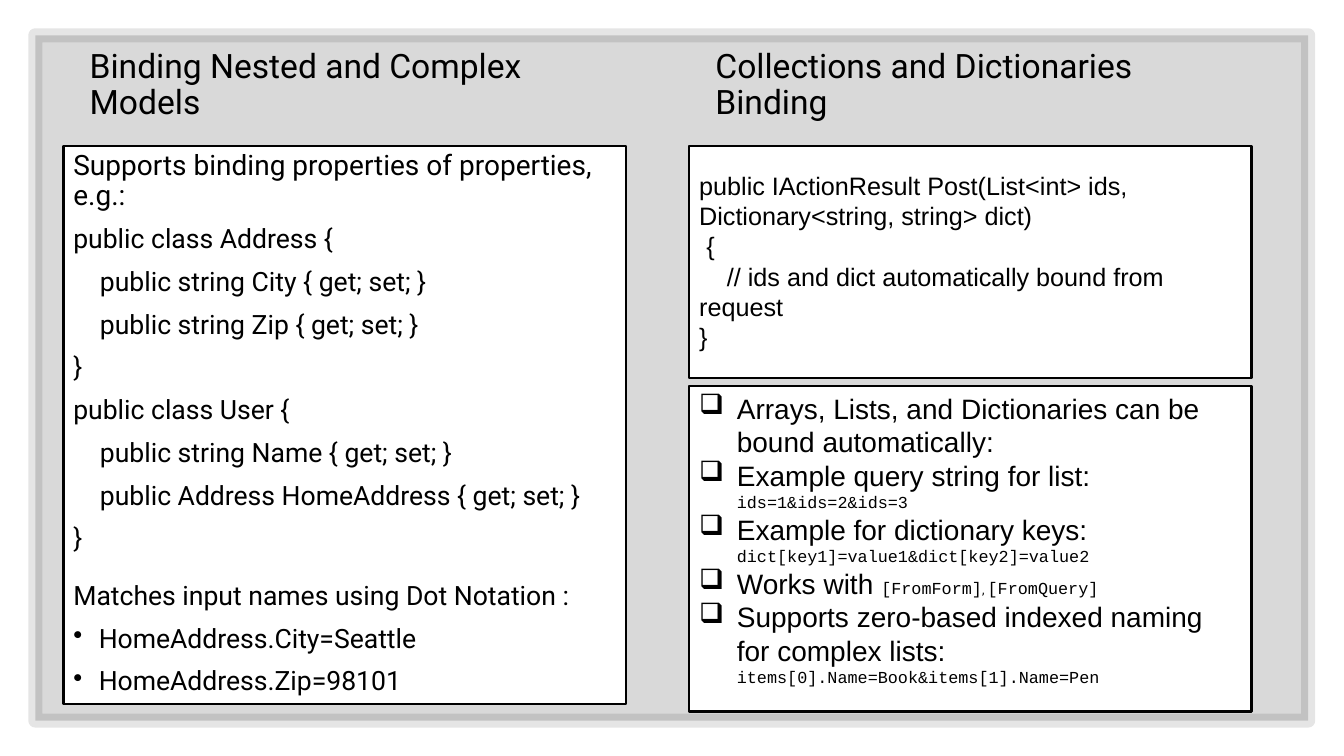
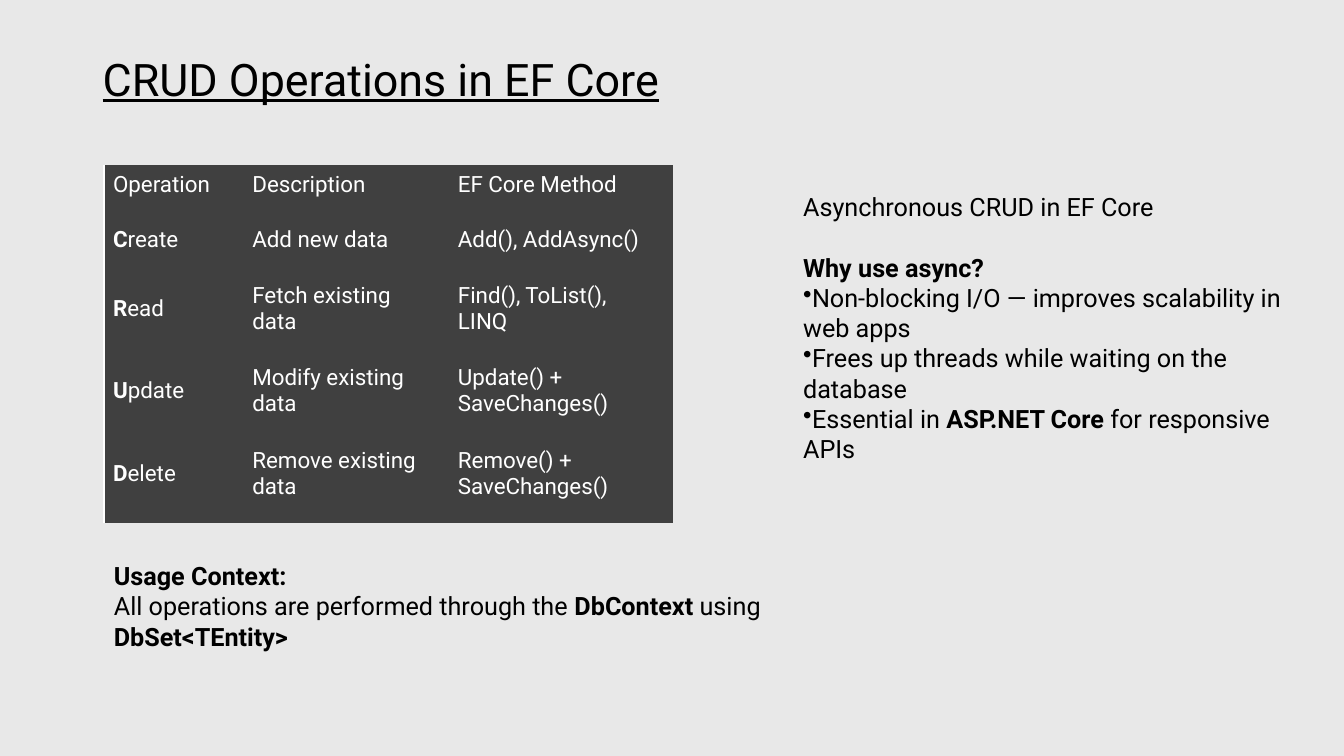
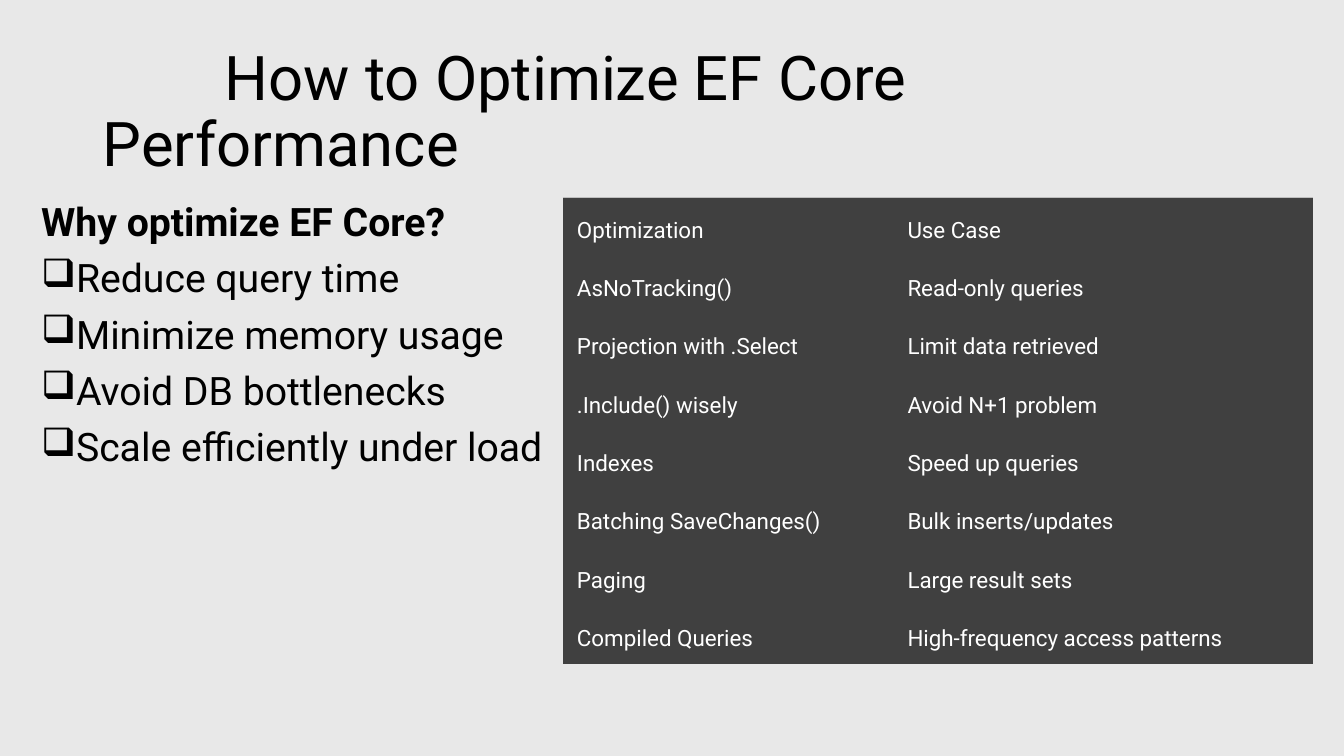
import dataclasses

import pptx
import pptx.dml.color
import pptx.enum.shapes
import pptx.enum.text
import pptx.oxml
import pptx.oxml.ns
import pptx.util

Cm = pptx.util.Cm
Pt = pptx.util.Pt
qn = pptx.oxml.ns.qn
ANCHOR = pptx.enum.text.MSO_ANCHOR

COLORS = {
    "ink": "000000",
    "paper": "FFFFFF",
    "mist": "E8E8E8",
    "table": "404040",
    "rule": "BFBFBF",
}
SANS, PLAIN, MONO = "Roboto", "Arial", "Courier New"
NO_GRID_STYLE = "{2D5ABB26-0587-4C30-8999-92F81FD0307C}"
SPAN_STYLES = {
    "bold": {"bold": True},
    "code": {"font": MONO, "size": 12},
    "separator": {"font": SANS, "size": 9},
}
BREAK = "\n"


@dataclasses.dataclass
class Style:
    size: float
    font: str = SANS
    color: str = "ink"
    spacing: float = 1.0
    before: float = 0
    bold: bool = False
    underline: bool = False


@dataclasses.dataclass
class Line:
    spans: object
    size: float = None
    before: float = None
    left: float = 0
    first: float = 0
    bullet: str = None


def rgb(name):
    return pptx.dml.color.RGBColor.from_string(COLORS[name])


def bulleted(texts, bullet, hang=0):
    return [Line(text, left=hang, first=-hang, bullet=bullet) for text in texts]


def write_span(paragraph, text, style):
    if text == BREAK:
        paragraph.add_line_break()
        return
    run = paragraph.add_run()
    run.text = text
    run.font.name = style.font
    run.font.size = Pt(style.size)
    run.font.bold = style.bold
    run.font.underline = style.underline
    run.font.color.rgb = rgb(style.color)


def write_lines(frame, lines, style):
    frame.word_wrap = True
    for index, line in enumerate(lines):
        if not isinstance(line, Line):
            line = Line(line)
        paragraph = frame.add_paragraph() if index else frame.paragraphs[0]
        paragraph.alignment = pptx.enum.text.PP_ALIGN.LEFT
        paragraph.line_spacing = style.spacing
        paragraph.space_before = Pt(style.before if line.before is None else line.before)
        properties = paragraph._p.get_or_add_pPr()
        properties.set("marL", str(Cm(line.left)))
        properties.set("indent", str(Cm(line.first)))
        if line.bullet:
            mark = pptx.oxml.parse_xml(
                f'<a:buChar {pptx.oxml.ns.nsdecls("a")} char="{line.bullet}"/>')
            properties.append(mark)
        base = dataclasses.replace(style, size=line.size or style.size)
        spans = [line.spans] if isinstance(line.spans, str) else line.spans
        for span in spans:
            text, kind = (span, None) if isinstance(span, str) else span
            write_span(paragraph, text, dataclasses.replace(base, **SPAN_STYLES.get(kind, {})))


def add_text(slide, box, lines, style, anchor=ANCHOR.TOP):
    frame = slide.shapes.add_textbox(*map(Cm, box)).text_frame
    frame.vertical_anchor = anchor
    write_lines(frame, lines, style)


def add_title(slide, box, title, size, underline=False):
    style = Style(size, spacing=0.9, underline=underline)
    add_text(slide, box, [title], style, ANCHOR.MIDDLE)


def add_rectangle(slide, box, fill, line_width):
    rectangle = slide.shapes.add_shape(
        pptx.enum.shapes.MSO_SHAPE.RECTANGLE, *map(Cm, box))
    rectangle.shadow.inherit = False
    rectangle.fill.solid()
    rectangle.fill.fore_color.rgb = rgb(fill)
    rectangle.line.color.rgb = rgb("ink")
    rectangle.line.width = Pt(line_width)
    return rectangle


def add_backdrop(slide, box):
    backdrop = add_rectangle(slide, box, "ink", 10)
    colors = backdrop.element.spPr.iter(qn("a:srgbClr"))
    for color, opacity in zip(list(colors), (15, 10)):
        color.append(pptx.oxml.parse_xml(
            f'<a:alpha {pptx.oxml.ns.nsdecls("a")} val="{opacity * 1000}"/>'))


def add_topic_column(slide, left, title, panels):
    add_title(slide, (left + 0.41, 1.63, 13.34, 1.07), title, 24)
    for top, height, inset, lines, style in panels:
        panel = add_rectangle(slide, (left, top, 14.17, height), "paper", 1.5)
        panel.text_frame.vertical_anchor = ANCHOR.TOP
        panel.text_frame.margin_top = Cm(inset)
        write_lines(panel.text_frame, lines, style)


def add_border(cell, side, color):
    cell._tc.get_or_add_tcPr().insert(0, pptx.oxml.parse_xml(
        f'<a:{side} {pptx.oxml.ns.nsdecls("a")} w="{Pt(1)}"><a:solidFill>'
        f'<a:srgbClr val="{COLORS[color]}"/></a:solidFill></a:{side}>'))


def add_dark_table(slide, left, top, widths, heights, rows, margins, has_border, side, color):
    holder = slide.shapes.add_table(
        len(rows), len(widths), Cm(left), Cm(top), Cm(sum(widths)), Cm(sum(heights)))
    holder.element.find(".//" + qn("a:tableStyleId")).text = NO_GRID_STYLE
    table = holder.table
    table.first_row = table.horz_banding = False
    for column, width in zip(table.columns, widths):
        column.width = Cm(width)
    for r, (height, row) in enumerate(zip(heights, rows)):
        table.rows[r].height = Cm(height)
        for c, content in enumerate(row):
            cell = table.cell(r, c)
            cell.fill.solid()
            cell.fill.fore_color.rgb = rgb("table")
            cell.vertical_anchor = ANCHOR.MIDDLE
            cell.margin_left, cell.margin_top, cell.margin_right, cell.margin_bottom = map(
                Cm, margins)
            write_lines(cell.text_frame, [content], Style(16, color="paper"))
            if has_border(r, c):
                add_border(cell, side, color)


def new_slide(deck, background):
    slide = deck.slides.add_slide(deck.slide_layouts[6])
    slide.background.fill.solid()
    slide.background.fill.fore_color.rgb = rgb(background)
    return slide


def build_binding(deck):
    slide = new_slide(deck, "paper")
    add_backdrop(slide, (0.89, 0.89, 32.08, 17.27))
    nested = [
        Line("Supports binding properties of properties, e.g.:", size=20),
        "public class Address {",
        Line("public string City { get; set; }", left=0.67),
        Line("public string Zip { get; set; }", left=0.67),
        "}",
        "public class User {",
        Line("public string Name { get; set; }", left=0.67),
        Line("public Address HomeAddress { get; set; }", left=0.67),
        "}",
        Line("Matches input names using Dot Notation :", before=20.7),
        *bulleted(["HomeAddress.City=Seattle", "HomeAddress.Zip=98101"], "•", 0.64),
    ]
    action = [
        "public IActionResult Post(List<int> ids, Dictionary<string, string> dict)",
        Line("{", first=0.18),
        Line("// ids and dict automatically bound from request", first=0.7),
        "}",
    ]
    collections = bulleted([
        "Arrays, Lists, and Dictionaries can be bound automatically:",
        ["Example query string for list:", BREAK, ("ids=1&ids=2&ids=3", "code")],
        ["Example for dictionary keys:", BREAK,
         ("dict[key1]=value1&dict[key2]=value2", "code")],
        ["Works with ", ("[FromForm]", "code"), (", ", "separator"), ("[FromQuery]", "code")],
        ["Supports zero-based indexed naming for complex lists:", BREAK,
         ("items[0].Name=Book&items[1].Name=Pen", "code")],
    ], "❑", 0.95)
    add_topic_column(slide, 1.6, "Binding Nested and Complex Models", [
        (3.68, 14.07, 0.13, nested, Style(19, spacing=0.9, before=10)),
    ])
    add_topic_column(slide, 17.37, "Collections and Dictionaries Binding", [
        (3.68, 5.84, 0.61, action, Style(18, PLAIN)),
        (9.73, 8.2, 0.13, collections, Style(20, PLAIN)),
    ])


def build_crud(deck):
    slide = new_slide(deck, "mist")
    add_title(slide, (2.34, 1.19, 14.6, 1.73), "CRUD Operations in EF Core", 32, underline=True)
    operations = [
        ("Create", "Add new data", "Add(), AddAsync()"),
        ("Read", "Fetch existing data", "Find(), ToList(), LINQ"),
        ("Update", "Modify existing data", "Update() + SaveChanges()"),
        ("Delete", "Remove existing data", "Remove() + SaveChanges()"),
    ]
    rows = [("Operation", "Description", "EF Core Method")]
    rows += [([(name[0], "bold"), name[1:]], *rest) for name, *rest in operations]
    add_dark_table(slide, 2.62, 4.17, (3.51, 5.18, 5.64), (1.4, 1.4, 2.07, 2.07, 2.07), rows,
                   (0.23, 0.08, 0.36, 0.51), lambda r, c: c == 0, "lnL", "paper")
    add_text(slide, (2.62, 14, 16.92, 2.57), [
        [("Usage Context:", "bold"), BREAK, "All operations are performed through the ",
         ("DbContext", "bold"), " using ", ("DbSet<TEntity>", "bold")],
    ], Style(18))
    add_text(slide, (19.99, 4.7, 12.95, 7.19), [
        "Asynchronous CRUD in EF Core",
        Line([("Why use async?", "bold")], before=21.6),
        *bulleted([
            "Non-blocking I/O — improves scalability in web apps",
            "Frees up threads while waiting on the database",
            ["Essential in ", ("ASP.NET Core", "bold"), " for responsive APIs"],
        ], "•"),
    ], Style(18))


def build_optimize(deck):
    slide = new_slide(deck, "mist")
    add_title(slide, (2.34, 1.02, 29.21, 3.68),
              Line("How to Optimize EF Core Performance", first=3.07), 44)
    add_text(slide, (0.79, 4.98, 13.84, 11), [
        [("Why optimize EF Core?", "bold")],
        *bulleted(["Reduce query time", "Minimize memory usage", "Avoid DB bottlenecks",
                   "Scale efficiently under load"], "❑", 0.64),
    ], Style(28, spacing=0.9, before=10))
    rows = [
        ("Optimization", "Use Case"),
        ("AsNoTracking()", "Read-only queries"),
        ("Projection with .Select", "Limit data retrieved"),
        (".Include() wisely", "Avoid N+1 problem"),
        ("Indexes", "Speed up queries"),
        ("Batching SaveChanges()", "Bulk inserts/updates"),
        ("Paging", "Large result sets"),
        ("Compiled Queries", "High-frequency access patterns"),
    ]
    add_dark_table(slide, 14.18, 4.98, (8.33, 10.57), [1.47] * len(rows), rows,
                   (0.36, 0.36, 0.36, 0.18), lambda r, c: r == 0, "lnT", "rule")


def main():
    deck = pptx.Presentation()
    deck.slide_width, deck.slide_height = Cm(33.87), Cm(19.05)
    for build in (build_binding, build_crud, build_optimize):
        build(deck)
    deck.save("out.pptx")


if __name__ == "__main__":
    main()
